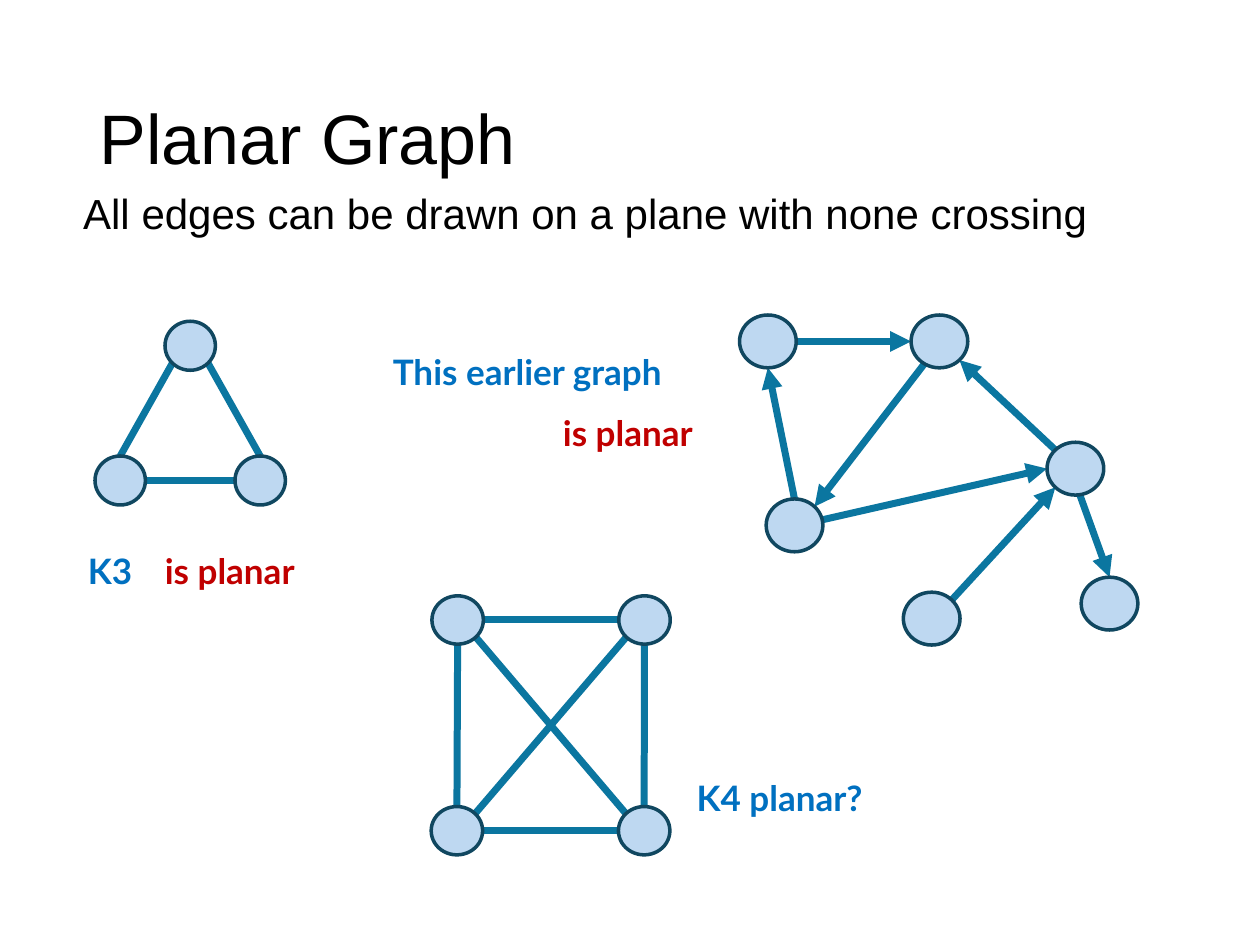
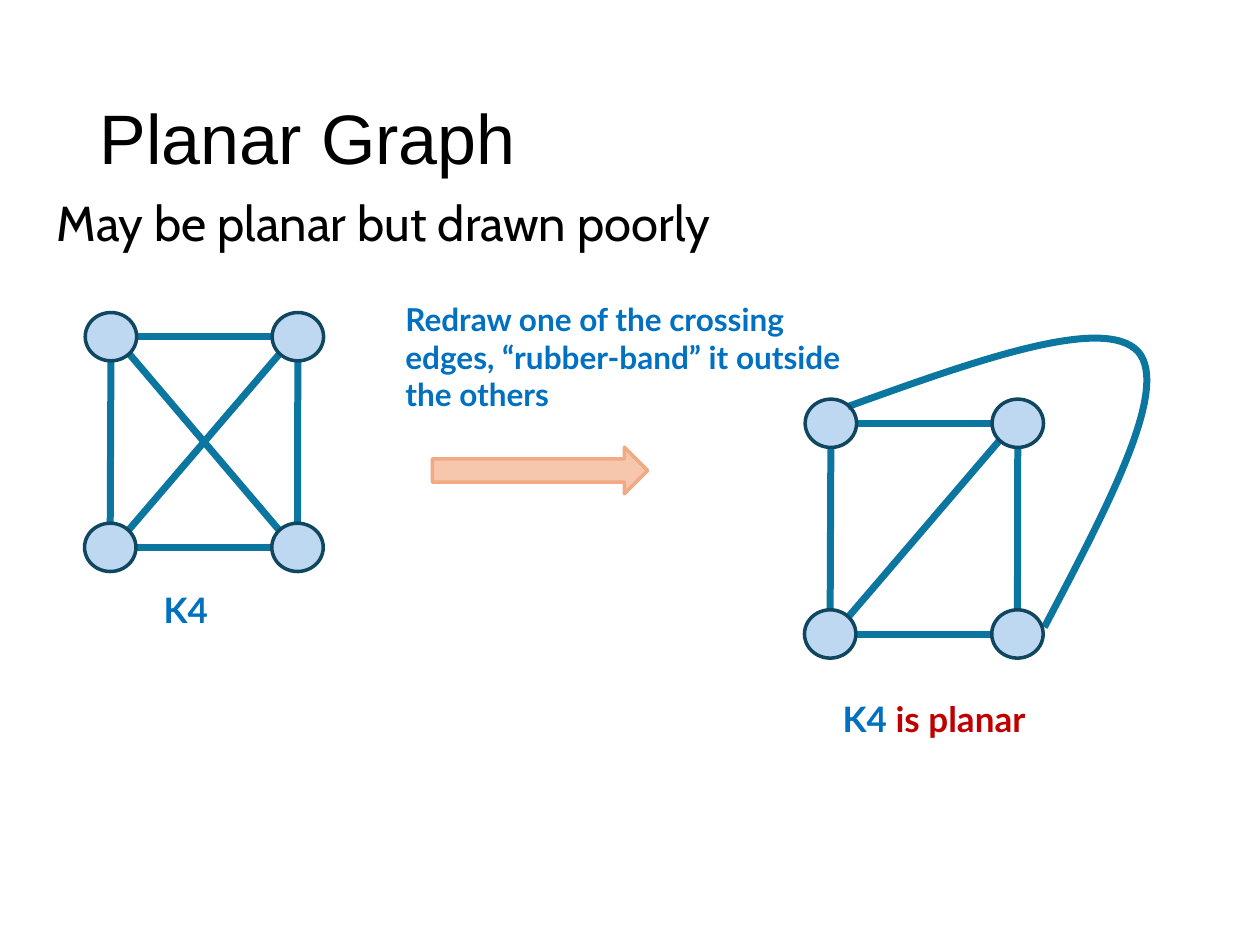
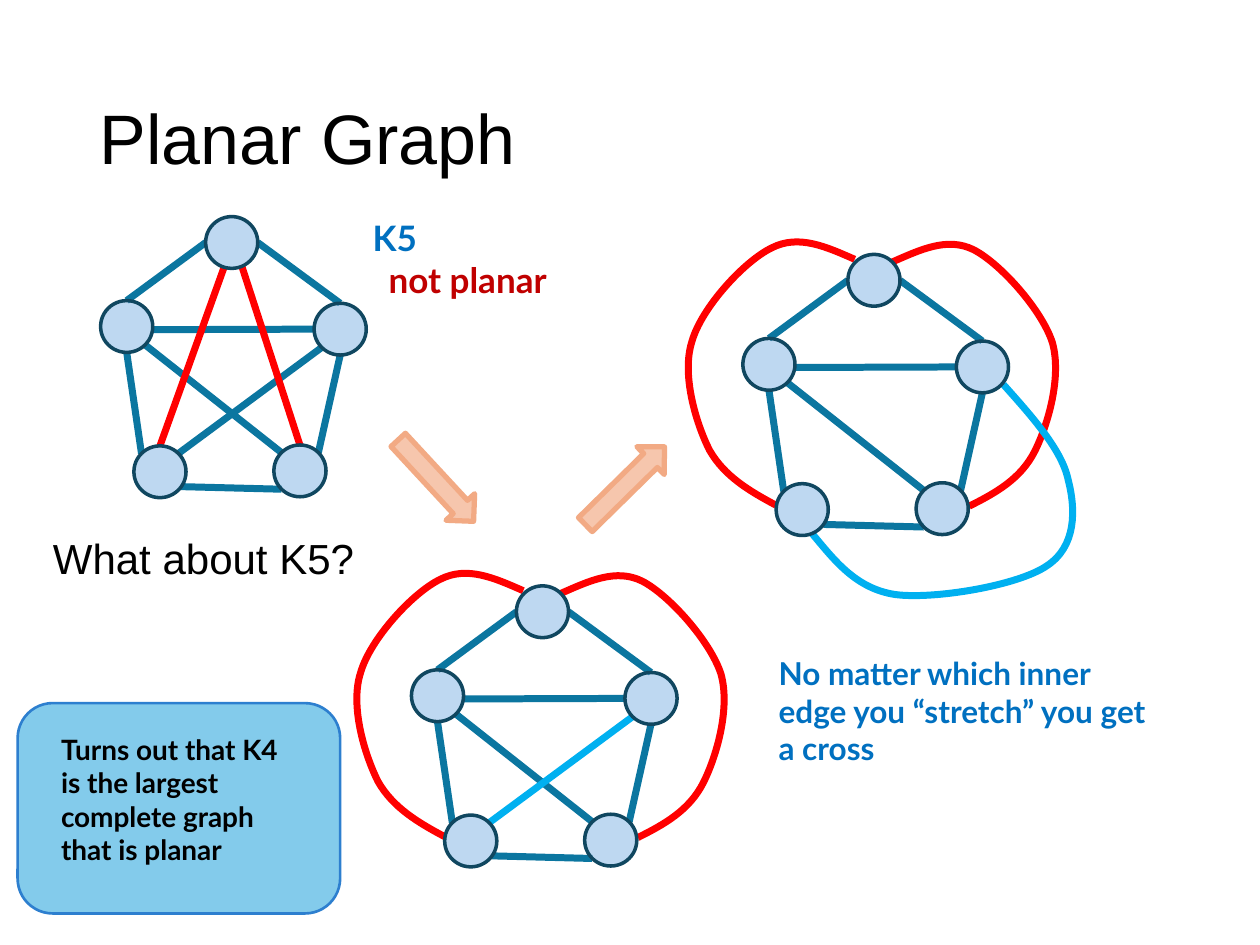
from math import cos, radians, sin

from lxml import etree
from pptx import Presentation
from pptx.dml.color import RGBColor
from pptx.enum.shapes import MSO_CONNECTOR, MSO_SHAPE
from pptx.enum.text import MSO_ANCHOR, MSO_AUTO_SIZE, PP_ALIGN
from pptx.oxml.ns import qn
from pptx.util import Pt

COLORS = {
    "black": "000000", "blue": "0070C0", "dark red": "C00000",
    "edge": "0B76A0", "red": "FF0000", "cyan": "00B0F0",
    "node": "71AAE0", "node line": "104760",
    "arrow": "F6C6AD", "arrow line": "F2AA84",
    "note": "83CBEB", "note line": "2D7FCF",
}
TITLE = "Planar Graph"
TITLE_FRAME = (49.7, 28.8, 620.6, 104.4)
EDGE_WIDTH = 4
NODE_OPACITY = 45

# Places on a node's rim, in degrees clockwise from the right
E, SE, S, SW, W, NW, N, NE = range(0, 360, 45)

# Graphs: node centres from the origin, node radii, edges (node, rim, node, rim)
K3 = {
    "radii": (14.4, 14),
    "nodes": {"top": (0, 0), "left": (-40, 77), "right": (40, 77)},
    "edges": [("left", N, "top", SW), ("left", E, "right", W), ("top", SE, "right", N)],
}
K4_SQUARE = [
    ("TL", E, "TR", W), ("BL", E, "BR", W), ("TL", S, "BL", N),
    ("TR", S, "BR", N), ("TR", SW, "BL", NE),
]
K4 = {
    "radii": (14.7, 13.8),
    "nodes": {"TL": (0, 0), "TR": (106.8, 0), "BL": (-0.4, 120.4), "BR": (106.6, 120.4)},
    "edges": K4_SQUARE + [("BR", NW, "TL", SE)],
}
K4_PLANAR = K4 | {
    "edges": K4_SQUARE,
    "curves": [("edge", [(9.5, -9.5), (83, -36), (156, -62), (175.5, -41),
                         (194, -20), (158, 48), (122, 116.5)])],
}
K5_BASE = [
    ("L", N, "T", W), ("T", E, "R", N), ("L", S, "BL", NW), ("R", S, "BR", NE),
    ("BL", 35, "BR", SW), ("BR", NW, "L", SE), ("R", W, "L", 7),
]
K5 = {
    "radii": (14.9, 14.8),
    "nodes": {"T": (0, 0), "L": (-60, 48), "R": (62, 49.5),
              "BL": (-41, 131), "BR": (39, 130.5)},
    "edges": K5_BASE + [("R", SW, "BL", NE), ("T", 107, "BL", N, "red"),
                        ("BR", N, "T", 67, "red")],
}
RED_LOOPS = [
    ("red", [(-56, 128.5), (-71, 120.5), (-85.5, 112), (-94, 97), (-102, 81),
             (-110, 53.5), (-104, 35), (-98.5, 15.5), (-74, -11), (-58.5, -18.5),
             (-43, -26.5), (-27, -19), (-11, -12)]),
    ("red", [(54.5, 129), (69.5, 121.5), (84, 113.5), (92, 97.5), (99.5, 82.5),
             (107.5, 55), (102, 35.5), (96, 17), (72.5, -9.5), (57, -17.5),
             (42, -25), (26.5, -17.5), (10.5, -10.5)]),
]
CYAN_LOOP = ("cyan", [(-35.5, 144.5), (-22.5, 160), (-10.5, 176), (12, 179.5),
                      (34, 182.5), (82.5, 174.5), (99, 163), (115.5, 152),
                      (115.5, 131.5), (111, 114), (107.5, 97), (90.5, 78), (74, 59.5)])
K5_LOOPS = K5 | {"edges": K5_BASE + [("R", SW, "BL", NE, "cyan")], "curves": RED_LOOPS}
K5_CROSSED = K5 | {"edges": K5_BASE, "curves": RED_LOOPS + [CYAN_LOOP]}
DIRECTED = {
    "radii": (16.2, 15.1),
    "nodes": {"A": (0, 0), "B": (98, 0), "C": (15.2, 105.1), "D": (93.6, 158.4),
              "E": (195.2, 149.8), "F": (175.7, 72.7)},
    "edges": [("A", E, "B", W), ("B", 122, "C", NE), ("C", -12, "F", W),
              ("D", NE, "F", SW), ("F", 81, "E", N), ("F", NW, "B", SE),
              ("C", N, "A", S)],
    "arrows": True,
}

# Labels: frame, size, paragraphs of (text, colour) runs
PAGES = [
    {
        "body": {"text": "All edges can be drawn on a plane with none crossing",
                 "frame": (31.7, 106.6, 648, 364.3), "font": "Arial", "size": 24, "indent": 8.64},
        "graphs": [(K3, (108.7, 197.6)), (DIRECTED, (438.8, 195.1)), (K4, (261.5, 354.3))],
        "labels": [
            ((43.2, 310.3, 50.4, 31.5), 20, [[("K3", "blue")]]),
            ((87.1, 310.3, 108, 31.5), 20, [[("is planar", "dark red")]]),
            ((314.6, 231.8, 106.6, 31.5), 20, [[("is planar", "dark red")]]),
            ((217.4, 196.6, 206.6, 31.5), 20, [[("This earlier graph", "blue")]]),
            ((391, 439.9, 128.9, 31.5), 20, [[("K4 planar?", "blue")]]),
        ],
    },
    {
        "body": {"text": "May be planar but drawn poorly",
                 "frame": (25.2, 110.2, 620.6, 342.7), "font": "Cabin", "size": 28, "before": 10},
        "graphs": [(K4, (63.4, 192.4)), (K4_PLANAR, (474.8, 241.9))],
        "arrows": [((247, 255.6, 123.1, 26.6), 0, 2)],
        "labels": [
            ((86.4, 332.6, 59.8, 31.5), 20, [[("K4", "blue")]]),
            ((474.5, 395.3, 163.4, 31.5), 20, [[("K4 ", "blue"), ("is planar", "dark red")]]),
            ((224.6, 167.8, 271.4, 72.7), 18,
             [[("Redraw one of the crossing edges, “rubber-band” it outside the others", "blue")]]),
        ],
    },
    {
        "body": {"text": "What about K5?",
                 "frame": (14.4, 303.8, 648, 149), "font": "Arial", "size": 24, "indent": 8.64},
        "graphs": [(K5, (132.4, 138.6)), (K5_LOOPS, (310, 349.6)), (K5_CROSSED, (499.4, 160.2))],
        "arrows": [((217.4, 263.5, 63.4, 22.3), 47.2, 3), ((325.4, 266.4, 63.4, 22.3), 315.5, 3)],
        "labels": [
            ((437.8, 370.1, 226.8, 72.7), 18,
             [[("No matter which inner edge you “stretch” you get a cross", "blue")]]),
            ((205.9, 120.2, 147.6, 55.4), 20, [[("K5", "blue")], [("not planar", "dark red")]]),
        ],
        "note": ("Turns out that K4 is the largest complete graph that is planar",
                 (10.1, 401.8, 184.3, 120.2)),
    },
]
SECOND_LINE_INDENT = 9


def rgb(name):
    return RGBColor.from_string(COLORS[name])


def points(values):
    return [Pt(value) for value in values]


def style_font(font, name, size, color, bold=False):
    font.name, font.size, font.bold = name, Pt(size), bold
    font.color.rgb = rgb(color)


def style_line(shape, color, width):
    shape.line.color.rgb = rgb(color)
    shape.line.width = Pt(width)


def add_filled(shapes, kind, frame, fill, line, width):
    shape = shapes.add_shape(kind, *points(frame))
    shape.shadow.inherit = False
    shape.fill.solid()
    shape.fill.fore_color.rgb = rgb(fill)
    style_line(shape, line, width)
    return shape


def indent(para, left):
    """Set the left margin and drop any bullet."""
    properties = para._p.get_or_add_pPr()
    properties.set("marL", str(Pt(left)))
    properties.set("indent", "0")
    etree.SubElement(properties, qn("a:buNone"))


def fill_placeholder(holder, text, frame, font, size, before=0, left=0, anchor=MSO_ANCHOR.TOP):
    holder.left, holder.top, holder.width, holder.height = points(frame)
    text_frame = holder.text_frame
    text_frame.text = text
    text_frame.auto_size = MSO_AUTO_SIZE.NONE
    text_frame.vertical_anchor = anchor
    para = text_frame.paragraphs[0]
    para.alignment = PP_ALIGN.LEFT
    para.line_spacing = 0.9
    para.space_before = Pt(before)
    indent(para, left)
    style_font(para.runs[0].font, font, size, "black")


def add_node(shapes, center, radii):
    (x, y), (rx, ry) = center, radii
    node = add_filled(shapes, MSO_SHAPE.OVAL, (x - rx, y - ry, 2 * rx, 2 * ry),
                      "node", "node line", 2)
    color = node.element.spPr.find(f"{qn('a:solidFill')}/{qn('a:srgbClr')}")
    etree.SubElement(color, qn("a:alpha"), val=str(NODE_OPACITY * 1000))


def add_edge(shapes, start, end, color, arrow):
    edge = shapes.add_connector(MSO_CONNECTOR.STRAIGHT, *points(start + end))
    style_line(edge, color, EDGE_WIDTH)
    properties = edge.element.spPr
    if arrow:
        etree.SubElement(properties.find(qn("a:ln")), qn("a:tailEnd"), type="triangle")
    etree.SubElement(properties, qn("a:effectLst"))


def add_curve(shapes, knots, color):
    """Draw a chain of cubic curves: a start, then three points for each curve."""
    start, *rest = [points(knot) for knot in knots]
    builder = shapes.build_freeform(*start)
    builder.add_line_segments(rest, close=False)
    curve = builder.convert_to_shape()
    curve.shadow.inherit = False
    curve.fill.background()
    style_line(curve, color, EDGE_WIDTH)
    outline = next(curve.element.iter(qn("a:path")))
    segments = outline.findall(qn("a:lnTo"))
    for first in range(0, len(segments), 3):
        cubic = etree.SubElement(outline, qn("a:cubicBezTo"))
        for segment in segments[first:first + 3]:
            cubic.append(segment[0])
            outline.remove(segment)


def add_graph(page, graph, origin):
    shapes = page.shapes.add_group_shape().shapes
    rx, ry = graph["radii"]

    def place(offset):
        return origin[0] + offset[0], origin[1] + offset[1]

    centers = {name: place(offset) for name, offset in graph["nodes"].items()}

    def rim(name, degrees):
        x, y = centers[name]
        return x + rx * cos(radians(degrees)), y + ry * sin(radians(degrees))

    for color, knots in graph.get("curves", []):
        add_curve(shapes, [place(knot) for knot in knots], color)
    for tail, tail_rim, head, head_rim, *color in graph["edges"]:
        add_edge(shapes, rim(tail, tail_rim), rim(head, head_rim),
                 color[0] if color else "edge", graph.get("arrows", False))
    for center in centers.values():
        add_node(shapes, center, graph["radii"])


def add_label(page, frame, size, paragraphs):
    text_frame = page.shapes.add_textbox(*points(frame)).text_frame
    text_frame.word_wrap = True
    text_frame.auto_size = MSO_AUTO_SIZE.SHAPE_TO_FIT_TEXT
    for index, spans in enumerate(paragraphs):
        para = text_frame.add_paragraph() if index else text_frame.paragraphs[0]
        if index:
            indent(para, SECOND_LINE_INDENT)
        for text, color in spans:
            span = para.add_run()
            span.text = text
            style_font(span.font, "Lato", size, color, bold=True)


def add_note(page, text, frame):
    note = add_filled(page.shapes, MSO_SHAPE.ROUNDED_RECTANGLE, frame, "note", "note line", 1.5)
    text_frame = note.text_frame
    text_frame.text = text
    text_frame.word_wrap = True
    text_frame.vertical_anchor = MSO_ANCHOR.TOP
    text_frame.margin_left, text_frame.margin_top, text_frame.margin_right = points((19, 10.7, 16))
    para = text_frame.paragraphs[0]
    para.alignment = PP_ALIGN.LEFT
    style_font(para.runs[0].font, "Lato", 16, "black", bold=True)


def add_page(deck, content):
    page = deck.slides.add_slide(deck.slide_layouts[1])
    fill_placeholder(page.shapes.title, TITLE, TITLE_FRAME, "Arial", 40, anchor=MSO_ANCHOR.MIDDLE)
    body = content["body"]
    fill_placeholder(page.placeholders[1], body["text"], body["frame"], body["font"],
                     body["size"], body.get("before", 0), body.get("indent", 0))
    for graph, origin in content["graphs"]:
        add_graph(page, graph, origin)
    for frame, rotation, width in content.get("arrows", []):
        arrow = add_filled(page.shapes, MSO_SHAPE.RIGHT_ARROW, frame, "arrow", "arrow line", width)
        arrow.rotation = rotation
    for label in content["labels"]:
        add_label(page, *label)
    if "note" in content:
        add_note(page, *content["note"])


def main():
    deck = Presentation()
    deck.slide_width, deck.slide_height = Pt(720), Pt(540)
    for content in PAGES:
        add_page(deck, content)
    deck.save("out.pptx")


if __name__ == "__main__":
    main()
